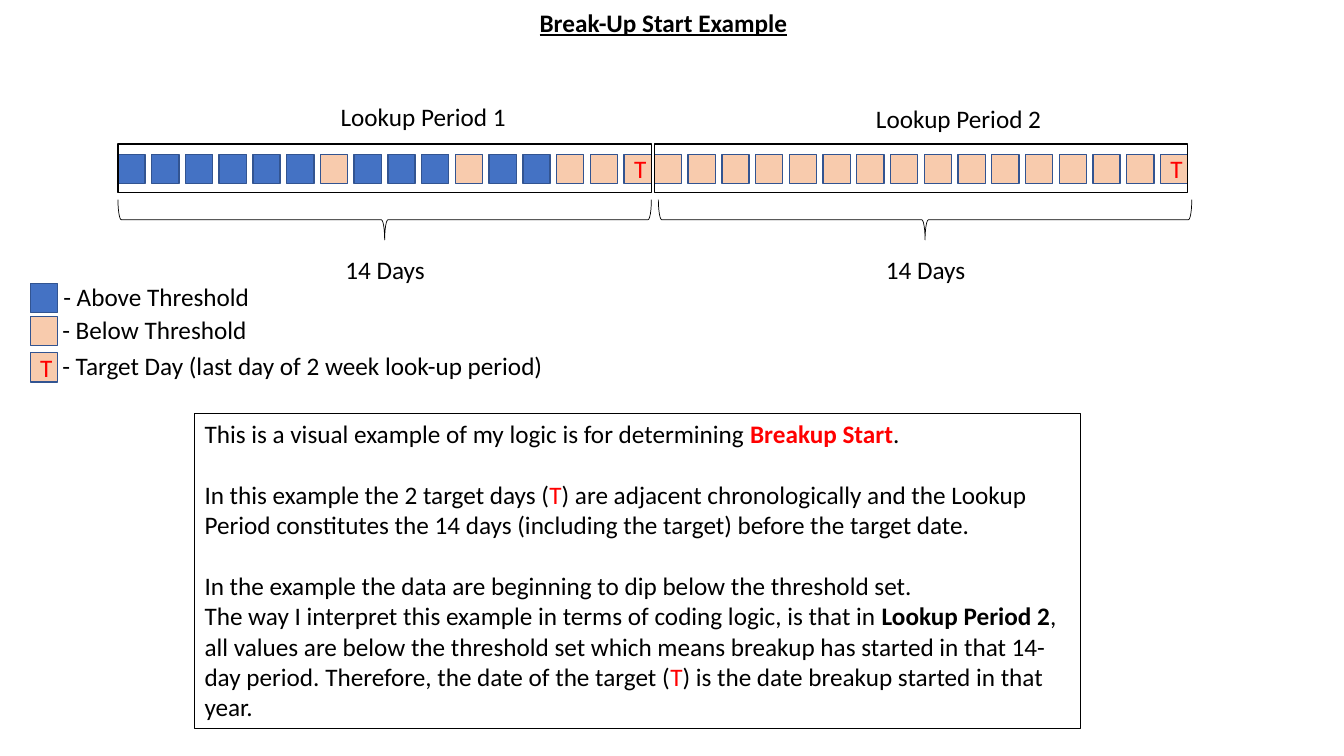
"""Build the Break-Up Start Example slide."""
from typing import NamedTuple

from pptx import Presentation
from pptx.dml.color import RGBColor
from pptx.enum.shapes import MSO_SHAPE
from pptx.enum.text import MSO_ANCHOR, MSO_AUTO_SIZE, PP_ALIGN
from pptx.util import Inches, Pt

RECT, BRACE = MSO_SHAPE.RECTANGLE, MSO_SHAPE.LEFT_BRACE
LEFT, CENTER = PP_ALIGN.LEFT, PP_ALIGN.CENTER
TOP, MIDDLE = MSO_ANCHOR.TOP, MSO_ANCHOR.MIDDLE
FIXED = MSO_AUTO_SIZE.NONE
COLORS = {"above": "4472C4", "below": "F8CBAD", "edge": "325491",
          "ink": "000000", "target": "FF0000"}
DAY_W, DAY_H, DAY_TOP = 0.27, 0.29, 1.53
PERIOD_W, PERIOD_H, PERIOD_TOP = 5.29, 0.48, 1.43
BRACE_TOP, BRACE_H = 1.98, 0.4
LABEL_H, COUNT_W = 0.4, 2.86


class Span(NamedTuple):
    text: str
    color: str = "ink"
    bold: bool = False


class Para(NamedTuple):
    spans: list[Span]
    gap: int = 0


class Period(NamedTuple):
    name: str
    days: str
    left: float
    label_left: float
    label_top: float
    brace_left: float
    count_left: float


class Legend(NamedTuple):
    text: str
    day: str
    top: float
    label_left: float


PERIODS = [
    Period("Lookup Period 1", "AAAAAABAAABAABBT", 1.17, 3.28, 0.96, 1.17, 2.39),
    Period("Lookup Period 2", "B" * 15 + "T", 6.49, 8.59, 0.98, 6.53, 7.75),
]
LEGENDS = [
    Legend("- Above Threshold", "A", 2.81, 0.53),
    Legend("- Below Threshold", "B", 3.14, 0.52),
    Legend("- Target Day (last day of 2 week look-up period)", "T", 3.5, 0.52),
]
TARGET = Span("T", "target")
EXPLANATION = [
    Para([Span("This is a visual example of my logic is for determining "),
          Span("Breakup Start", "target", True), Span(". ")]),
    Para([Span("In this example the 2 target days ("), TARGET,
          Span(") are adjacent chronologically and the Lookup Period constitutes "
               "the 14 days (including the target) before the target date. ")], 22),
    Para([Span("In the example the data are beginning to dip below the "
               "threshold set. ")], 22),
    Para([Span("The way I interpret this example in terms of coding logic, is that in "),
          Span("Lookup Period 2", bold=True),
          Span(", all values are below the threshold set which means breakup has "
               "started in that 14-day period. Therefore, the date of the target ("),
          TARGET, Span(") is the date breakup started in that year.")]),
]


def rgb(name: str) -> RGBColor:
    """Look up a named colour."""
    return RGBColor.from_string(COLORS[name])


def write(shape, paras: list[Para], align=LEFT, anchor=TOP) -> None:
    """Fill a shape with formatted paragraphs."""
    tf = shape.text_frame
    tf.word_wrap, tf.auto_size, tf.vertical_anchor = True, FIXED, anchor
    for i, para in enumerate(paras):
        p = tf.add_paragraph() if i else tf.paragraphs[0]
        p.alignment, p.space_before = align, Pt(para.gap)
        for span in para.spans:
            r = p.add_run()
            r.text = span.text
            r.font.name, r.font.size, r.font.bold = "Calibri", Pt(18), span.bold
            r.font.color.rgb = rgb(span.color)


def add_label(s, text: str, left: float, top: float, width: float, align=LEFT) -> None:
    """Add a single-line label."""
    box = s.shapes.add_textbox(Inches(left), Inches(top), Inches(width), Inches(LABEL_H))
    write(box, [Para([Span(text)])], align)


def add_outline(s, kind, left: float, top: float, width: float, height: float,
                weight: float, fill: str = "", edge: str = "ink"):
    """Add a preset shape with an outline and an optional fill."""
    sp = s.shapes.add_shape(kind, Inches(left), Inches(top), Inches(width), Inches(height))
    sp.shadow.inherit = False
    if fill:
        sp.fill.solid()
        sp.fill.fore_color.rgb = rgb(fill)
    else:
        sp.fill.background()
    sp.line.color.rgb, sp.line.width = rgb(edge), Pt(weight)
    return sp


def add_day(s, day: str, left: float, top: float) -> None:
    """Add one day square: A above, B below, T target."""
    fill = "above" if day == "A" else "below"
    sp = add_outline(s, RECT, left, top, DAY_W, DAY_H, 1, fill, "edge")
    if day == "T":
        write(sp, [Para([TARGET])], CENTER, MIDDLE)


def add_period(s, period: Period) -> None:
    """Add a lookup period with its days, frame, brace and labels."""
    pitch = (PERIOD_W - DAY_W) / (len(period.days) - 1)
    for i, day in enumerate(period.days):
        add_day(s, day, period.left + i * pitch, DAY_TOP)
    add_outline(s, RECT, period.left, PERIOD_TOP, PERIOD_W, PERIOD_H, 1)
    add_label(s, period.name, period.label_left, period.label_top, 2.33)
    shift = (PERIOD_W - BRACE_H) / 2
    brace = add_outline(s, BRACE, period.brace_left + shift, BRACE_TOP - shift,
                        BRACE_H, PERIOD_W, 0.5)
    brace.rotation = 270
    add_label(s, "14 Days", period.count_left, 2.47, COUNT_W, CENTER)


def add_legend(s, legend: Legend) -> None:
    """Add a legend square and its description."""
    add_day(s, legend.day, 0.3, legend.top)
    add_label(s, legend.text, legend.label_left, legend.top - 0.07, 5.2)


def add_title(s, text: str) -> None:
    """Place and format the slide title."""
    title = s.shapes.title
    title.left, title.top = Inches(2.44), Inches(0.02)
    title.width, title.height = Inches(8.28), Inches(LABEL_H)
    write(title, [Para([Span(text, bold=True)])], CENTER)
    title.text_frame.paragraphs[0].runs[0].font.underline = True


def main() -> None:
    """Create and save the presentation."""
    prs = Presentation()
    prs.slide_width, prs.slide_height = Inches(13.33), Inches(7.5)
    s = prs.slides.add_slide(prs.slide_layouts[5])
    add_title(s, "Break-Up Start Example")
    for period in PERIODS:
        add_period(s, period)
    for legend in LEGENDS:
        add_legend(s, legend)
    write(add_outline(s, RECT, 1.93, 4.1, 8.79, 3.13, 0.75), EXPLANATION)
    prs.save("out.pptx")


main()
